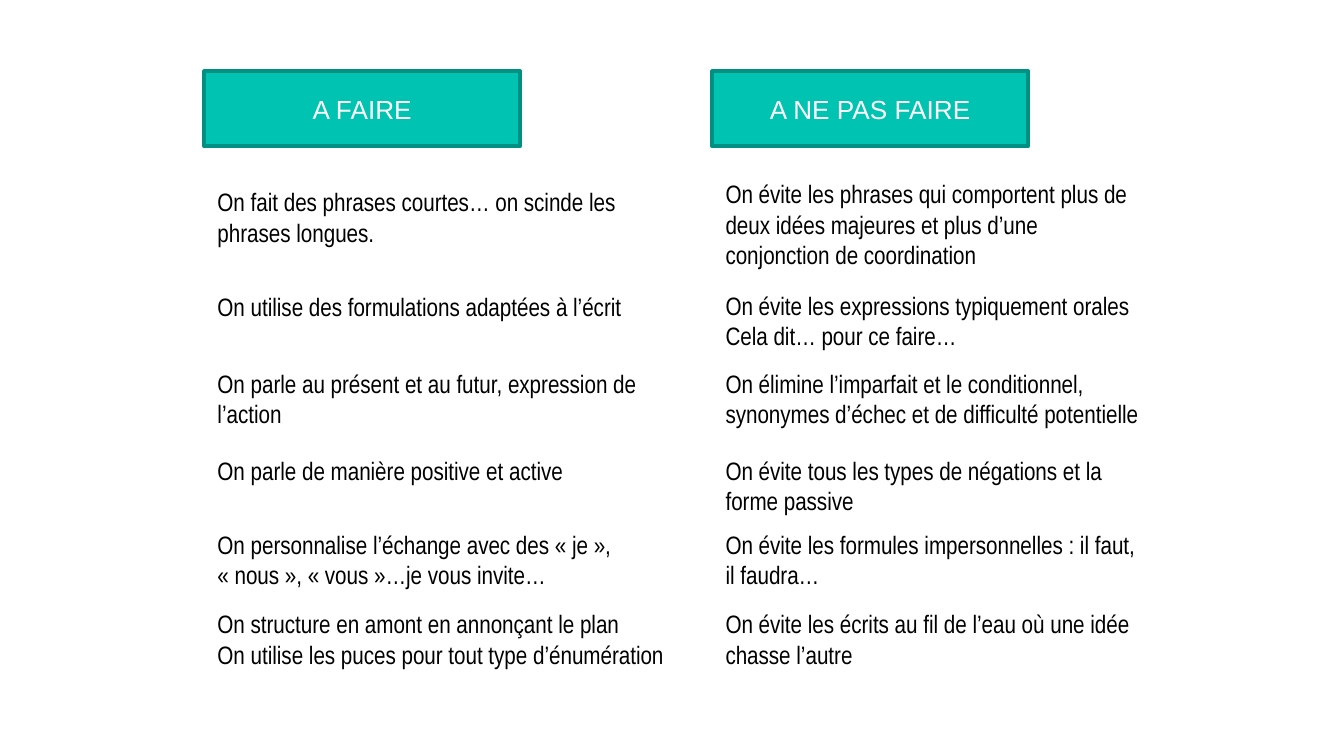
from dataclasses import dataclass

from pptx import Presentation
from pptx import util as u
from pptx.dml import color
from pptx.enum import shapes, text


@dataclass(frozen=True)
class Theme:
    """Colours, fonts and type sizes of the slide."""
    fill: str = "00C3B1"
    edge: str = "009083"
    ink: str = "000000"
    pale: str = "FFFFFF"
    head: str = "Arial"
    body: str = "Arial Narrow"
    big: float = 14
    small: float = 13.5


THEME = Theme()
TOP, HIGH, WIDE = 0.53, 0.56, 2.35
LOW, TALL = 0.56, 0.78
HARD = chr(160)

COLS = [
    (1.52, 3.54, "A FAIRE", [
        (1.34, TALL, ["On fait des phrases courtes… on scinde les phrases longues."]),
        (2.12, LOW, ["On utilise des formulations adaptées à l’écrit"]),
        (2.69, LOW, ["On parle au présent et au futur, expression de l’action"]),
        (3.34, LOW, ["On parle de manière positive et active"]),
        (3.89, LOW, ["On personnalise l’échange avec des « je », « nous », « vous »…je vous invite…"]),
        (4.48, LOW, ["On structure en amont en annonçant le plan",
                     "On utilise les puces pour tout type d’énumération"]),
    ]),
    (5.3, 3.31, "A NE PAS FAIRE", [
        (1.28, TALL, ["On évite les phrases qui comportent plus de deux idées majeures "
                      "et plus d’une conjonction de coordination"]),
        (2.11, LOW, ["On évite les expressions typiquement orales",
                     "Cela dit… pour ce faire…"]),
        (2.69, LOW, ["On élimine l’imparfait et le conditionnel, "
                     "synonymes d’échec et de difficulté potentielle"]),
        (3.34, TALL, ["On évite tous les types de négations et la forme passive"]),
        (3.89, TALL, ["On évite les formules impersonnelles : il faut, il faudra…"]),
        (4.48, TALL, ["On évite les écrits au fil de l’eau où une idée chasse l’autre"]),
    ]),
]


def rgb(code):
    """Turn a hex code into a colour."""
    return color.RGBColor.from_string(code)


def bind(line):
    """Keep French quote marks on the line of the word they hold."""
    return line.replace("« ", "«" + HARD).replace(" »", HARD + "»")


def apply(item, form):
    """Set each attribute of the item from a dict."""
    for name, value in form.items():
        setattr(item, name, value)


def write(shape, lines, frame, para, font, ink):
    """Fill a shape with formatted paragraphs."""
    box = shape.text_frame
    apply(box, frame)
    box.text = "\n".join(map(bind, lines))
    for part in box.paragraphs:
        apply(part, para)
        for run in part.runs:
            apply(run.font, font)
            run.font.color.rgb = rgb(ink)


def add_head(slide, left, title):
    """Add the filled heading of a column."""
    box = slide.shapes.add_shape(
        shapes.MSO_SHAPE.RECTANGLE, *map(u.Inches, (left, TOP, WIDE, HIGH)))
    box.shadow.inherit = False
    box.fill.solid()
    box.fill.fore_color.rgb = rgb(THEME.fill)
    box.line.color.rgb = rgb(THEME.edge)
    box.line.width = u.Pt(2)
    write(box, [title],
          {"word_wrap": True, "vertical_anchor": text.MSO_ANCHOR.MIDDLE},
          {"alignment": text.PP_ALIGN.CENTER},
          {"name": THEME.head, "size": u.Pt(THEME.big)}, THEME.pale)


def add_tip(slide, left, top, wide, high, lines):
    """Add one piece of advice as a text box."""
    box = slide.shapes.add_textbox(*map(u.Inches, (left, top, wide, high)))
    write(box, lines,
          {"word_wrap": True, "auto_size": text.MSO_AUTO_SIZE.SHAPE_TO_FIT_TEXT},
          {"alignment": text.PP_ALIGN.LEFT},
          {"name": THEME.body, "size": u.Pt(THEME.small)}, THEME.ink)


def main():
    """Build the two columns and save the deck."""
    deck = Presentation()
    wide = u.Inches(10)
    apply(deck, {"slide_width": wide, "slide_height": wide * 9 // 16})
    slide = deck.slides.add_slide(deck.slide_layouts[6])
    for left, span, title, tips in COLS:
        add_head(slide, left, title)
        for top, high, lines in tips:
            add_tip(slide, left, top, span, high, lines)
    deck.save("out.pptx")


if __name__ == "__main__":
    main()
